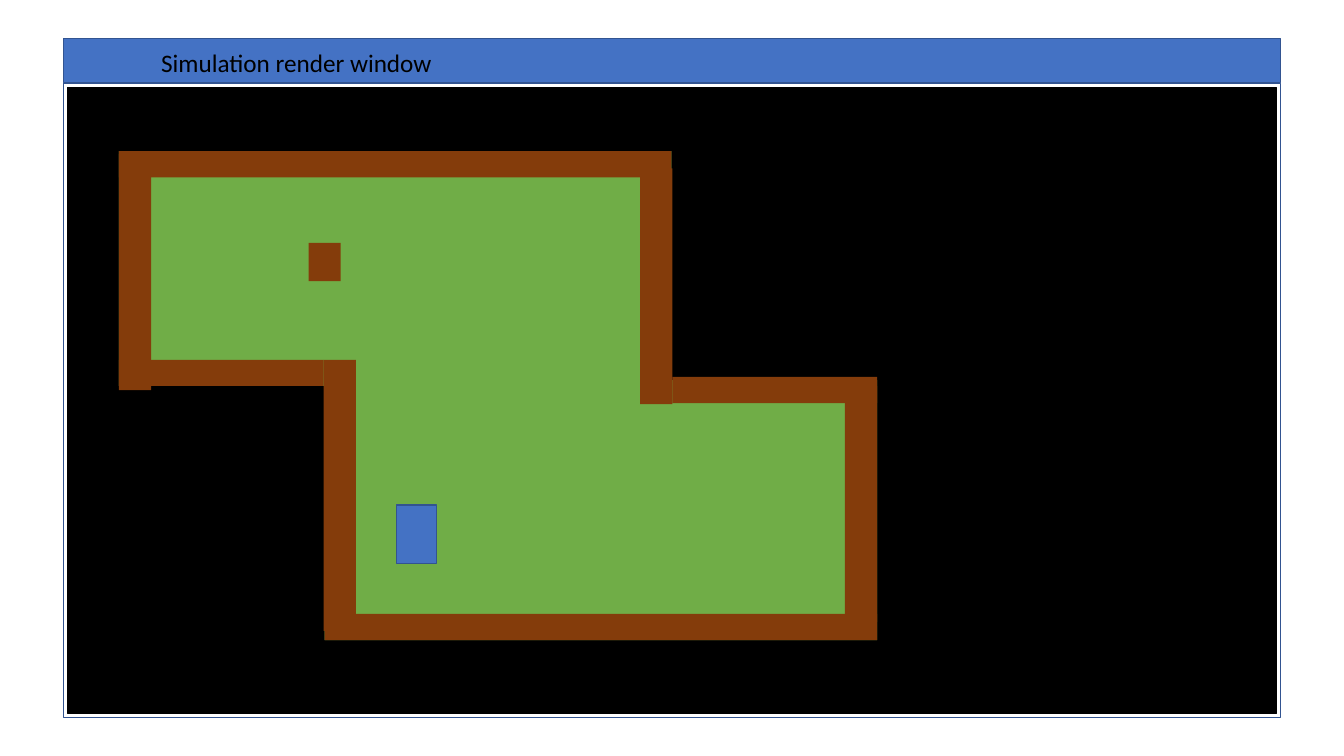
from collections import namedtuple

from pptx import Presentation
from pptx.dml.color import RGBColor
from pptx.enum.shapes import MSO_SHAPE as Shape
from pptx.enum.text import MSO_AUTO_SIZE as AutoSize
from pptx.util import Inches, Pt

COLORS = {
    "white": "FFFFFF",
    "black": "000000",
    "blue": "4472C4",
    "outline": "325491",
    "grass": "70AD47",
    "wall": "843C0B",
}
WALL_ACROSS = 0.26  # thickness of horizontal walls
WALL_UPRIGHT = 0.32  # thickness of vertical walls

Box = namedtuple("Box", "left top width height")


def color(name):
    return RGBColor.from_string(COLORS[name])


def add_rect(page, box, fill, line=None):
    rect = page.shapes.add_shape(Shape.RECTANGLE, *map(Inches, box))
    rect.shadow.inherit = False
    rect.fill.solid()
    rect.fill.fore_color.rgb = color(fill)
    if line:
        rect.line.color.rgb = color(line)
        rect.line.width = Pt(1)
    else:
        rect.line.fill.background()


def add_title_bar(page, box, title):
    add_rect(page, box, "blue", "outline")
    label = page.shapes.add_textbox(
        Inches(box.left + 0.87), Inches(box.top + 0.04), Inches(3.03), Inches(0.4))
    frame = label.text_frame
    frame.word_wrap = False
    frame.auto_size = AutoSize.SHAPE_TO_FIT_TEXT
    frame.text = title
    font = frame.paragraphs[0].runs[0].font
    font.name = "Calibri"
    font.size = Pt(18)
    font.color.rgb = color("black")


def add_room_map(page, box):
    """Two overlapping lawns with their walls, an obstacle and the robot."""

    def place(left, top, width, height, fill, line=None):
        add_rect(page, Box(box.left + left, box.top + top, width, height), fill, line)

    lawns = [(0, 0, 5.48, 2.33), (2.04, 2.27, 5.48, 2.58)]
    across = [(0, 0, 5.48), (2.04, 4.59, 5.48), (0, 2.07, 2.03), (5.49, 2.24, 2.03)]
    upright = [(5.17, 0.17, 2.34), (7.2, 2.33, 2.34), (0, 0.03, 2.34), (2.03, 2.07, 2.69)]

    for lawn in lawns:
        place(*lawn, "grass")
    for left, top, length in across:
        place(left, top, length, WALL_ACROSS, "wall")
    for left, top, length in upright:
        place(left, top, WALL_UPRIGHT, length, "wall")
    place(1.88, 0.91, WALL_UPRIGHT, 0.38, "wall")
    place(2.75, 3.51, 0.4, 0.58, "blue", "outline")


def add_render_window(page, box):
    bar_height, content_top, margin = 0.44, 0.45, 0.04
    content = Box(box.left, box.top + content_top, box.width, box.height - content_top)
    add_rect(page, content, "white", "outline")
    add_title_bar(page, box._replace(height=bar_height), "Simulation render window")
    view = Box(content.left + margin, content.top + margin,
               content.width - 2 * margin, content.height - 2 * margin)
    add_rect(page, view, "black", "black")
    add_room_map(page, Box(view.left + 0.51, view.top + 0.63, 7.52, 4.85))


def main():
    deck = Presentation()
    deck.slide_width = Inches(13.33)
    deck.slide_height = Inches(7.5)
    page = deck.slides.add_slide(deck.slide_layouts[6])
    add_render_window(page, Box(0.63, 0.38, 12.07, 6.74))
    deck.save("out.pptx")


if __name__ == "__main__":
    main()
